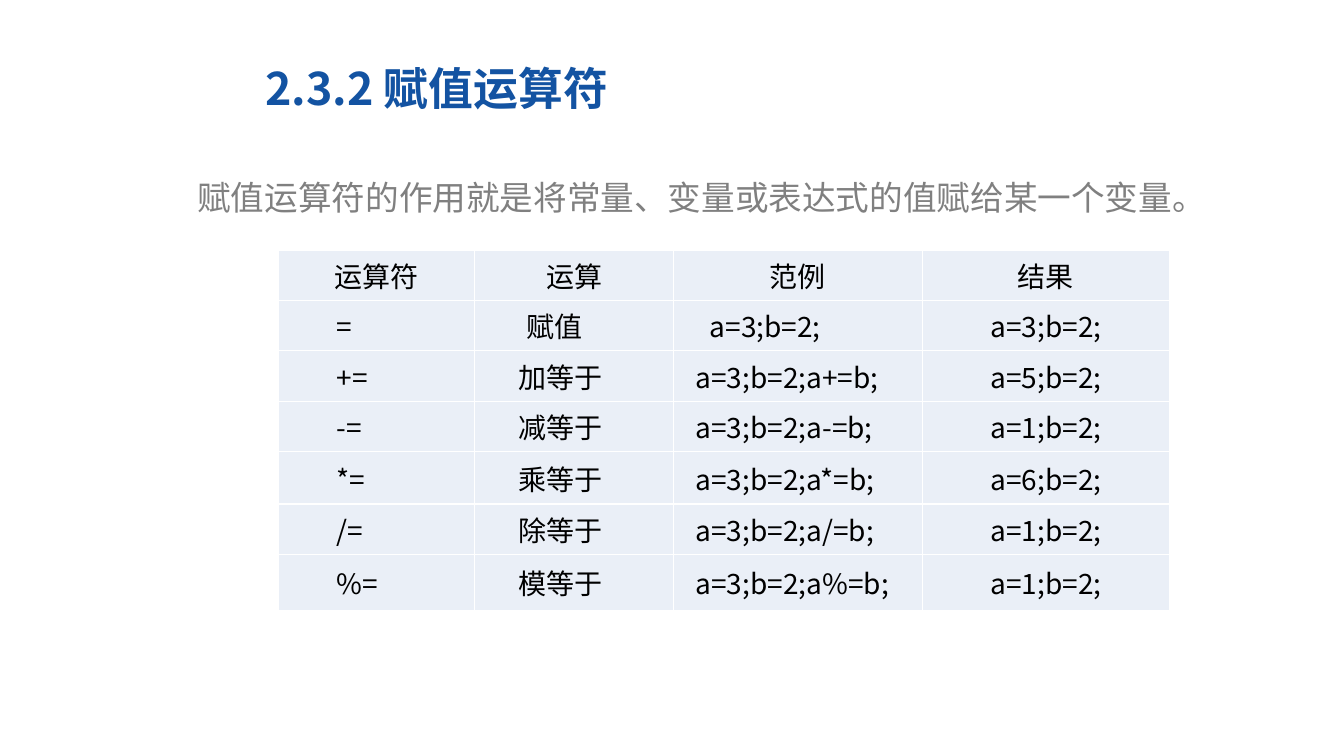
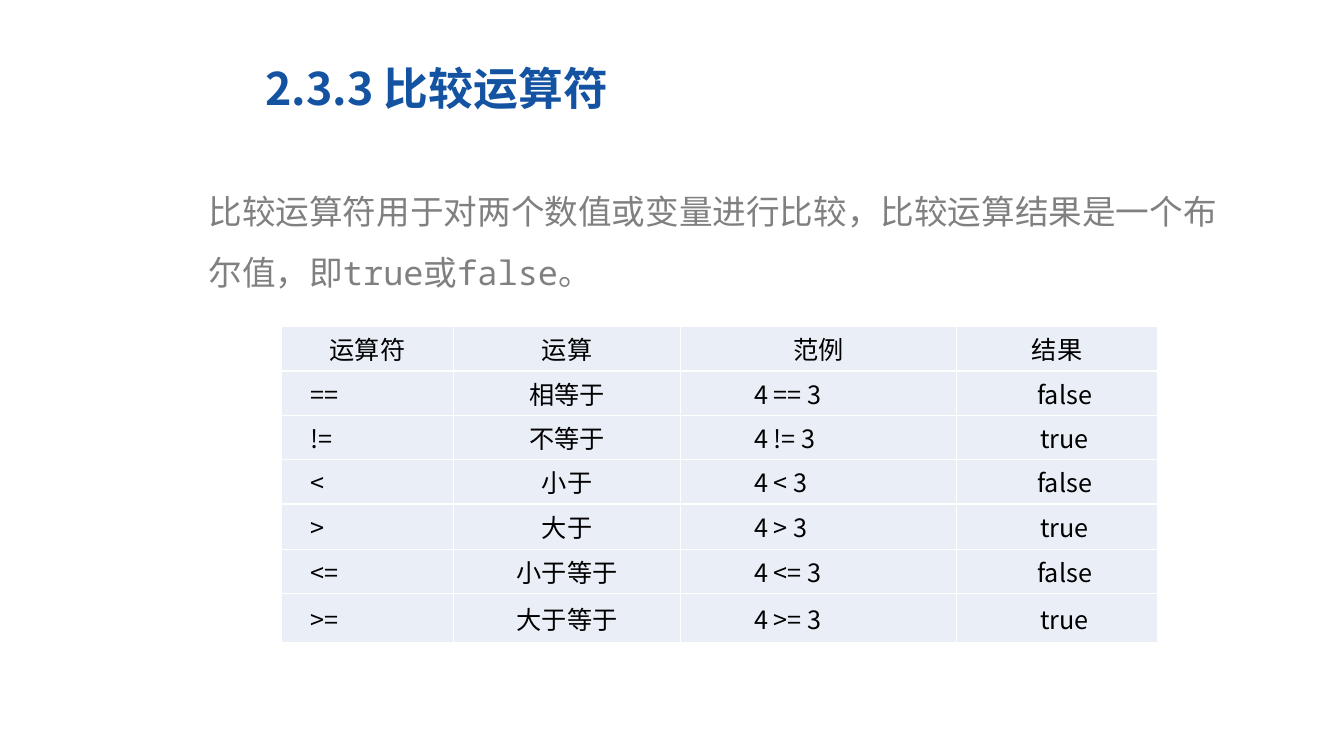
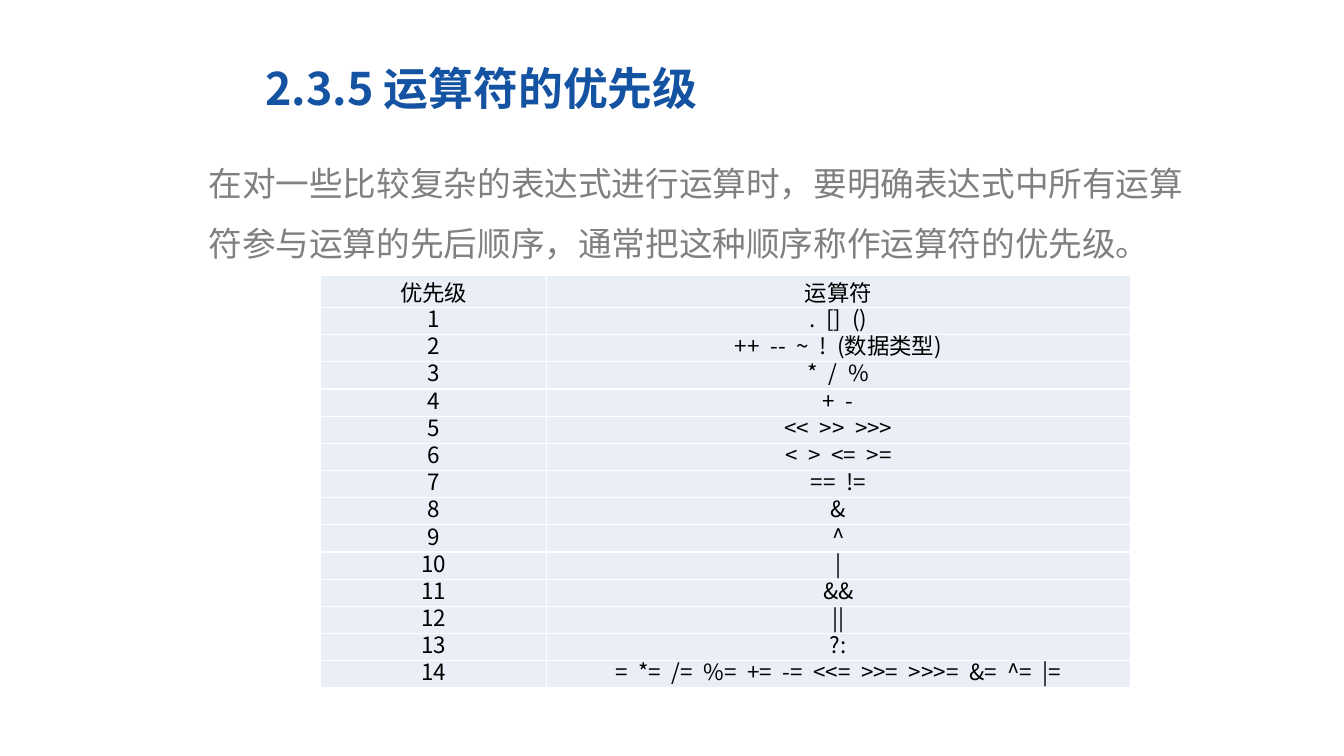
from lxml import etree
from pptx import Presentation
from pptx import util as u
from pptx.dml import color
from pptx.enum import text
from pptx.oxml import ns

SANS = "Noto Sans CJK SC"
MONO = "Noto Sans Mono"
TITLE = {"size": u.Pt(32), "name": SANS, "bold": True}
BODY = {"size": u.Pt(24), "name": MONO}
TITLE_COLOR, BODY_COLOR, CELL_COLOR = "1353A2", "808080", "000000"
CELL_FILL, BORDER_COLOR = "EAEFF7", "FFFFFF"
CENTER, JUSTIFY, LEFT = text.PP_ALIGN.CENTER, text.PP_ALIGN.JUSTIFY, text.PP_ALIGN.LEFT
MIDDLE, TOP = text.MSO_ANCHOR.MIDDLE, text.MSO_ANCHOR.TOP

ASSIGNMENT_ROWS = [
    ("运算符", "运算", "范例", "结果"),
    ("=", "赋值", "a=3;b=2;", "a=3;b=2;"),
    ("+=", "加等于", "a=3;b=2;a+=b;", "a=5;b=2;"),
    ("-=", "减等于", "a=3;b=2;a-=b;", "a=1;b=2;"),
    ("*=", "乘等于", "a=3;b=2;a*=b;", "a=6;b=2;"),
    ("/=", "除等于", "a=3;b=2;a/=b;", "a=1;b=2;"),
    ("%=", "模等于", "a=3;b=2;a%=b;", "a=1;b=2;"),
]
COMPARISON_ROWS = [
    ("运算符", "运算", "范例", "结果"),
    ("==", "相等于", "4 == 3", "false"),
    ("!=", "不等于", "4 != 3", "true"),
    ("<", "小于", "4 < 3", "false"),
    (">", "大于", "4 > 3", "true"),
    ("<=", "小于等于", "4 <= 3", "false"),
    (">=", "大于等于", "4 >= 3", "true"),
]
PRECEDENCE = [
    ". [] ()", "++ -- ~ ! (数据类型)", "* / %", "+ -", "<< >> >>>",
    "< > <= >=", "== !=", "&", "^", "|", "&&", "||", "?:",
    "= *= /= %= += -= <<= >>= >>>= &= ^= |=",
]
PRECEDENCE_ROWS = [("优先级", "运算符")] + [
    (str(level), operators) for level, operators in enumerate(PRECEDENCE, 1)
]


def rgb(value):
    """Turn a hex string into a colour."""
    return color.RGBColor.from_string(value)


def apply(target, values):
    """Set every attribute named in a dict."""
    for name, value in values.items():
        setattr(target, name, value)


def add_run(paragraph, words, font, font_color):
    """Append a formatted run with the same Latin and East Asian font."""
    run = paragraph.add_run()
    run.text = words
    apply(run.font, font)
    run.font.color.rgb = rgb(font_color)
    east_asian = etree.SubElement(run.font._element, ns.qn("a:ea"))
    east_asian.set("typeface", font["name"])
    return run


def add_text(slide, box, words, font, font_color, frame_format, paragraph_format):
    """Add a wrapped text box holding one paragraph."""
    frame = slide.shapes.add_textbox(*map(u.Inches, box)).text_frame
    apply(frame, {"word_wrap": True, **frame_format})
    paragraph = frame.paragraphs[0]
    apply(paragraph, paragraph_format)
    add_run(paragraph, words, font, font_color)


def add_borders(cell):
    """Draw thin lines on all four sides of a cell."""
    properties = cell._tc.get_or_add_tcPr()
    for position, side in enumerate(("lnL", "lnR", "lnT", "lnB")):
        line = etree.Element(ns.qn("a:" + side), w=str(u.Pt(1)))
        fill = etree.SubElement(line, ns.qn("a:solidFill"))
        etree.SubElement(fill, ns.qn("a:srgbClr"), val=BORDER_COLOR)
        properties.insert(position, line)


def fill_cell(cell, words, size, anchor, alignment, indent, gap, spacing):
    """Write one table cell, widening the spaces by gap points."""
    margin = u.Inches(0.07)
    apply(cell, {"margin_left": margin, "margin_right": margin, "margin_top": 0,
                 "margin_bottom": 0, "vertical_anchor": anchor})
    cell.fill.solid()
    cell.fill.fore_color.rgb = rgb(CELL_FILL)
    add_borders(cell)
    paragraph = cell.text_frame.paragraphs[0]
    apply(paragraph, {"alignment": alignment, "line_spacing": spacing})
    if indent:
        paragraph._p.get_or_add_pPr().set("indent", str(u.Inches(indent)))
    font = {"size": u.Pt(size), "name": SANS}
    for index, word in enumerate(words.split() if gap else [words]):
        if index:
            space = add_run(paragraph, " ", font, CELL_COLOR)
            space.font._element.set("spc", str(gap * 100))
        add_run(paragraph, word, font, CELL_COLOR)


def add_grid(slide, corner, widths, heights, rows, size, columns,
             indents=None, anchor=MIDDLE, gap=0, spacing=None):
    """Add a table with a centred header and one format per column."""
    box = (*corner, sum(widths), sum(heights))
    table = slide.shapes.add_table(len(rows), len(widths), *map(u.Inches, box)).table
    apply(table, {"first_row": False, "horz_banding": False})
    for column, width in zip(table.columns, widths):
        column.width = u.Inches(width)
    for row_index, (row, height) in enumerate(zip(rows, heights)):
        table.rows[row_index].height = u.Inches(height)
        for column_index, words in enumerate(row):
            alignment, indent = columns[column_index] if row_index else (CENTER, 0)
            indent = (indents or {}).get((row_index, column_index), indent)
            fill_cell(table.cell(row_index, column_index), words, size, anchor,
                      alignment, indent, gap, spacing if row_index else None)


def add_topic(presentation, title, body, body_box):
    """Add a slide with its title and introduction."""
    slide = presentation.slides.add_slide(presentation.slide_layouts[6])
    add_text(slide, (2.53, 0.55, 5.58, 0.64), title, TITLE, TITLE_COLOR, {}, {})
    add_text(slide, body_box, body, BODY, BODY_COLOR,
             {"margin_top": u.Inches(0.09)}, {"line_spacing": u.Pt(43)})
    return slide


def main():
    """Build the three operator slides."""
    presentation = Presentation()
    apply(presentation, {"slide_width": u.Inches(13.33), "slide_height": u.Inches(7.5)})

    slide = add_topic(presentation, "2.3.2 赋值运算符",
                      "赋值运算符的作用就是将常量、变量或表达式的值赋给某一个变量。",
                      (1.86, 1.47, 10.33, 0.79))
    add_grid(slide, (2.76, 2.48), (1.95, 1.97, 2.47, 2.45),
             [0.5] * 4 + [0.52, 0.5, 0.56], ASSIGNMENT_ROWS, 20,
             [(JUSTIFY, 0.51), (JUSTIFY, 0.36), (LEFT, 0.15), (CENTER, 0)],
             indents={(1, 1): 0.44, (1, 2): 0.29})

    slide = add_topic(presentation, "2.3.3 比较运算符",
                      "比较运算符用于对两个数值或变量进行比较，比较运算结果是一个布尔值，即true或false。",
                      (1.97, 1.61, 10.33, 1.37))
    add_grid(slide, (2.79, 3.24), (1.71, 2.25, 2.74, 1.99),
             [0.44] * 4 + [0.45, 0.44, 0.49], COMPARISON_ROWS, 18,
             [(JUSTIFY, 0.22), (CENTER, 0), (JUSTIFY, 0.66), (CENTER, 0.15)])

    slide = add_topic(presentation, "2.3.5 运算符的优先级",
                      "在对一些比较复杂的表达式进行运算时，要明确表达式中所有运算符参与运算的先后顺序，通常把这种顺序称作运算符的优先级。",
                      (1.97, 1.33, 10.07, 1.34))
    add_grid(slide, (3.18, 2.73), (2.24, 5.79), [0.32] + [0.27] * 14,
             PRECEDENCE_ROWS, 16, [(CENTER, 0)] * 2,
             anchor=TOP, gap=4, spacing=u.Pt(19))

    presentation.save("out.pptx")


if __name__ == "__main__":
    main()
